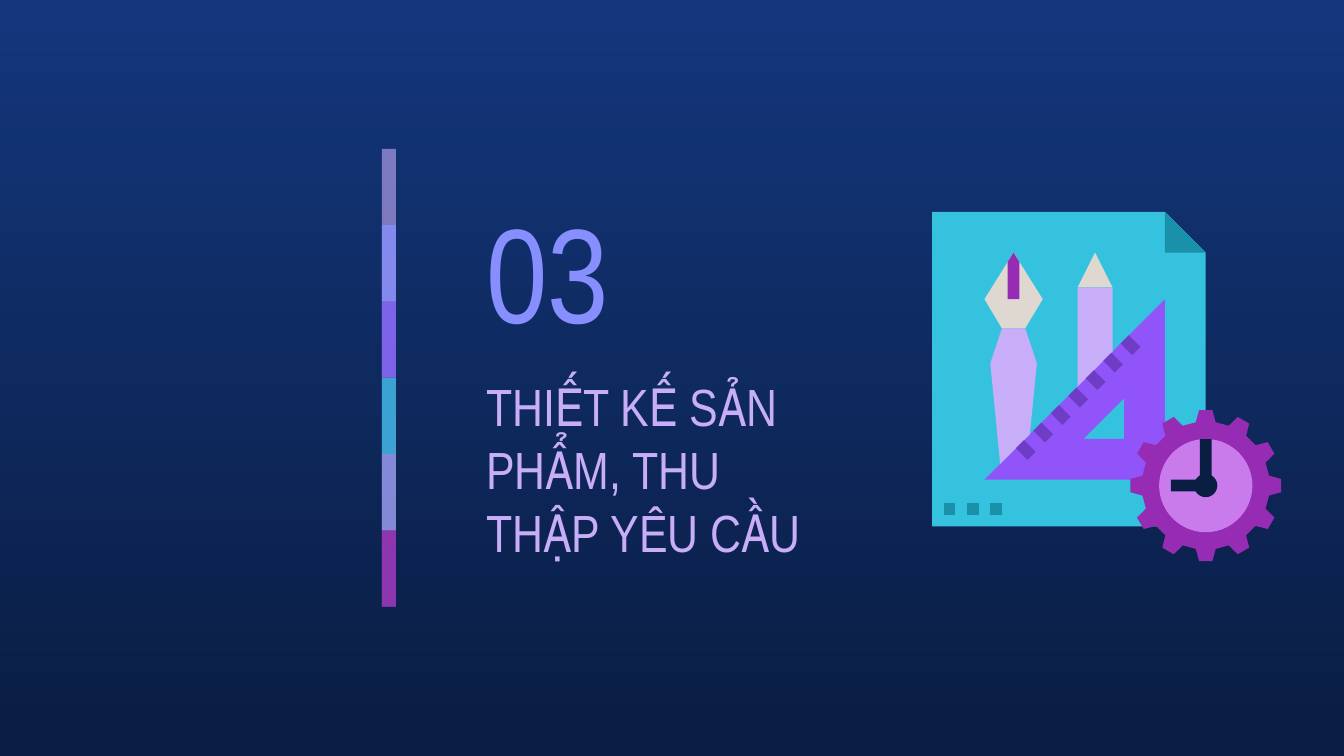
import math
from dataclasses import dataclass
from typing import Any

from lxml import etree
from pptx import Presentation
from pptx import util as u
from pptx.dml.color import RGBColor
from pptx.enum import shapes, text
from pptx.oxml.ns import qn

Point = tuple[float, float]


@dataclass(frozen=True)
class Theme:
    font: str = "Arial Narrow"
    number_size: int = 72
    title_size: int = 28
    sky: str = "13367C"
    night: str = "0A1D42"
    lilac: str = "C8AEF8"
    periwinkle: str = "878FFF"
    violet: str = "9154F8"
    dark_violet: str = "6F3CC6"
    cyan: str = "35C2DF"
    teal: str = "1B91A9"
    orchid: str = "CA7BEB"
    purple: str = "972CB4"
    ivory: str = "DED8D0"


@dataclass(frozen=True)
class Label:
    words: str
    left: float
    top: float
    width: float
    height: float
    size: int
    color: str


@dataclass(frozen=True)
class Band:
    color: str
    opacity: int
    steps: int = 2


@dataclass(frozen=True)
class Polygon:
    color: str
    contours: list[list[Point]]


@dataclass(frozen=True)
class Disc:
    color: str
    center: Point
    radius: float


THEME = Theme()

LABELS = [
    Label("03", 253.4, 95.8, 126, 97.2, THEME.number_size, THEME.periwinkle),
    Label("THIẾT KẾ SẢN PHẨM, THU THẬP YÊU CẦU", 253.4, 216.4, 204.5, 69.1,
          THEME.title_size, THEME.lilac),
]

BAND_LEFT, BAND_TOP, BAND_WIDTH, BAND_STEP = 204.6, 79.8, 7.5, 40.87
BANDS = [
    Band(THEME.lilac, 59),
    Band(THEME.periwinkle, 74),
    Band(THEME.violet, 53),
    Band(THEME.cyan, 76),
    Band(THEME.orchid, 56),
    Band(THEME.purple, 74, steps=1),
]

ICON_LEFT, ICON_TOP, ICON_UNIT = 499.3, 113.5, 6.24
CLOCK_CENTER = (23.5, 23.5)


def gear_outline(center: Point, teeth: int = 12) -> list[Point]:
    tooth = [(-9, 5.5), (-5, 6.5), (5, 6.5), (9, 5.5)]
    outline = []
    for index in range(teeth):
        for offset, radius in tooth:
            angle = math.radians(index * 360 / teeth + offset)
            outline.append((center[0] + radius * math.sin(angle),
                            center[1] - radius * math.cos(angle)))
    return outline


def ruler_tick(index: int) -> list[Point]:
    left, top = 7.9 + 1.5 * index, 19.6 - 1.5 * index
    return [(left, top), (left - 0.7, top + 0.7),
            (left + 0.3, top + 1.7), (left + 1, top + 1)]


def page_dot(index: int) -> list[Point]:
    left = 1 + 2 * index
    return [(left, 25), (left, 26), (left + 1, 26), (left + 1, 25)]


ICON_PARTS = [
    Polygon(THEME.cyan, [[(0, 0), (0, 27), (23.5, 27), (23.5, 3.5), (20, 0)]]),
    Polygon(THEME.teal, [[(20, 0), (20, 3.5), (23.5, 3.5)]]),
    Polygon(THEME.violet, [[(16.5, 16), (16.5, 19.5), (13, 19.5)],
                           [(20, 7.5), (4.5, 23), (20, 23)]]),
    Polygon(THEME.purple, [gear_outline(CLOCK_CENTER)]),
    Polygon(THEME.ivory, [[(14, 3.5), (12.5, 6.5), (15.5, 6.5)]]),
    Polygon(THEME.lilac, [[(12.5, 6.5), (12.5, 15), (15.5, 12), (15.5, 6.5)]]),
    Polygon(THEME.ivory, [[(7, 3.5), (4.5, 7.5), (6, 10), (8, 10), (9.5, 7.5)]]),
    Polygon(THEME.lilac, [[(6, 10), (5, 13), (5.85, 21.65), (8.4, 19.1), (9, 13), (8, 10)]]),
    Disc(THEME.orchid, CLOCK_CENTER, 4),
    Polygon(THEME.night, [[(23, 19.5), (23, 23), (20.5, 23),
                           (20.5, 24), (24, 24), (24, 19.5)]]),
    Disc(THEME.night, CLOCK_CENTER, 1),
    Polygon(THEME.purple, [[(7, 3.5), (6.5, 4.3), (6.5, 7.5), (7.5, 7.5), (7.5, 4.3)]]),
    *[Polygon(THEME.dark_violet, [ruler_tick(index)]) for index in range(7)],
    *[Polygon(THEME.teal, [page_dot(index)]) for index in range(3)],
]


def paint(shape: Any, color: str, opacity: int = 100) -> None:
    shape.shadow.inherit = False
    shape.fill.solid()
    shape.fill.fore_color.rgb = RGBColor.from_string(color)
    shape.line.fill.background()
    if opacity < 100:
        solid = shape.element.spPr.find(qn("a:solidFill"))
        etree.SubElement(solid[0], qn("a:alpha")).set("val", str(opacity * 1000))


def paint_background(slide: Any) -> None:
    fill = slide.background.fill
    fill.gradient()
    fill.gradient_angle = 270
    for stop, color in zip(fill.gradient_stops, (THEME.sky, THEME.night)):
        stop.color.rgb = RGBColor.from_string(color)


def draw_label(slide: Any, label: Label) -> None:
    box = slide.shapes.add_textbox(u.Pt(label.left), u.Pt(label.top),
                                   u.Pt(label.width), u.Pt(label.height))
    frame = box.text_frame
    frame.word_wrap = True
    frame.vertical_anchor = text.MSO_ANCHOR.MIDDLE
    frame.margin_left = frame.margin_right = u.Pt(7.2)
    frame.margin_top = frame.margin_bottom = u.Pt(7.2)
    run = frame.paragraphs[0].add_run()
    run.text = label.words
    run.font.name = THEME.font
    run.font.size = u.Pt(label.size)
    run.font.color.rgb = RGBColor.from_string(label.color)


def draw_band(group: Any, index: int, band: Band) -> None:
    shape = group.shapes.add_shape(
        shapes.MSO_SHAPE.RECTANGLE, u.Pt(BAND_LEFT), u.Pt(BAND_TOP + index * BAND_STEP),
        u.Pt(BAND_WIDTH), u.Pt(band.steps * BAND_STEP))
    paint(shape, band.color, band.opacity)


def icon_point(point: Point) -> tuple[int, int]:
    return (u.Pt(ICON_LEFT + point[0] * ICON_UNIT),
            u.Pt(ICON_TOP + point[1] * ICON_UNIT))


def draw_polygon(group: Any, polygon: Polygon) -> None:
    first, *others = [[icon_point(point) for point in contour]
                      for contour in polygon.contours]
    builder = group.shapes.build_freeform(*first[0])
    builder.add_line_segments(first[1:], close=True)
    for contour in others:
        builder.move_to(*contour[0])
        builder.add_line_segments(contour[1:], close=True)
    paint(builder.convert_to_shape(), polygon.color)


def draw_disc(group: Any, disc: Disc) -> None:
    corner = icon_point((disc.center[0] - disc.radius, disc.center[1] - disc.radius))
    diameter = u.Pt(2 * disc.radius * ICON_UNIT)
    paint(group.shapes.add_shape(shapes.MSO_SHAPE.OVAL, *corner, diameter, diameter),
          disc.color)


def main() -> None:
    presentation = Presentation()
    presentation.slide_width, presentation.slide_height = u.Pt(720), u.Pt(405)
    slide = presentation.slides.add_slide(presentation.slide_layouts[6])
    paint_background(slide)
    for label in LABELS:
        draw_label(slide, label)
    bar = slide.shapes.add_group_shape()
    for index, band in enumerate(BANDS):
        draw_band(bar, index, band)
    icon = slide.shapes.add_group_shape()
    for part in ICON_PARTS:
        if isinstance(part, Disc):
            draw_disc(icon, part)
        else:
            draw_polygon(icon, part)
    presentation.save("out.pptx")


if __name__ == "__main__":
    main()
